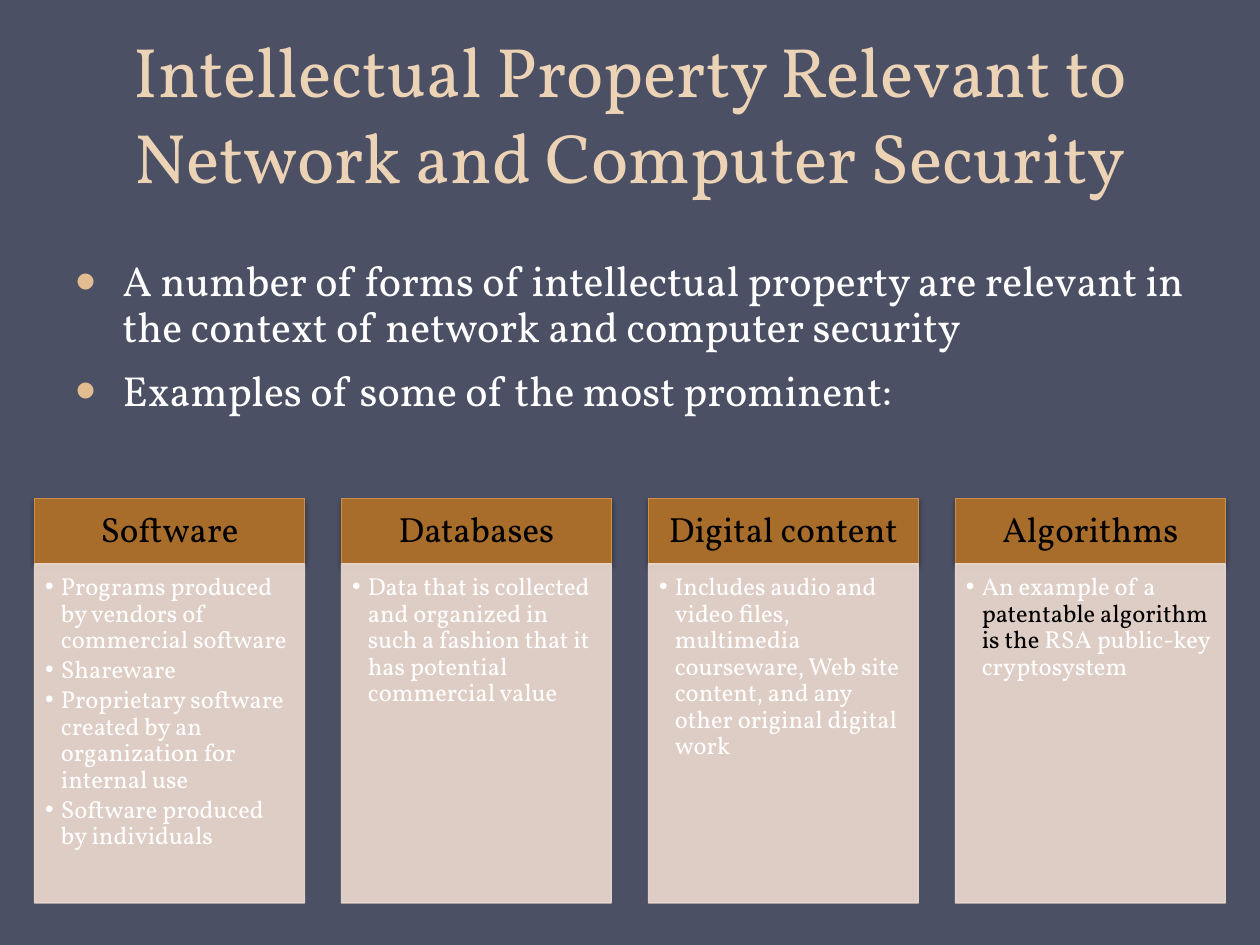
import lxml.etree
import pptx
import pptx.dml.color
import pptx.enum.shapes
import pptx.enum.text
import pptx.oxml
import pptx.oxml.ns
import pptx.util

Pt = pptx.util.Pt
ALIGN = pptx.enum.text.PP_ALIGN
ANCHOR = pptx.enum.text.MSO_ANCHOR
FONT = "Vollkorn"
WHITE, BLACK = "FFFFFF", "000000"
SAND, PEACH = "EDD3B6", "E3BC92"
BROWN, AMBER, BLUSH = "A96D2B", "D19049", "EEDBD0"

TITLE = "Intellectual Property Relevant to Network and Computer Security"
POINTS = [
    "A number of forms of intellectual property are relevant in the context of network and computer security",
    "Examples of some of the most prominent:",
]
CARDS = [
    ("Software", [
        "Programs produced by vendors of commercial software",
        "Shareware",
        "Proprietary software created by an organization for internal use",
        "Software produced by individuals",
    ]),
    ("Databases", [
        "Data that is collected and organized in such a fashion that it has potential commercial value",
    ]),
    ("Digital content", [
        "Includes audio and video files, multimedia courseware, Web site content, and any other original digital work",
    ]),
    ("Algorithms", [
        [("An example of a ", WHITE), ("patentable algorithm is the ", BLACK),
         ("RSA public-key cryptosystem", WHITE)],
    ]),
]


def paint(hue):
    """Turn a hex string into a colour."""
    return pptx.dml.color.RGBColor.from_string(hue)


def node(parent, tag, **attrs):
    """Add a drawing element with attributes to a parent."""
    child = lxml.etree.SubElement(parent, pptx.oxml.ns.qn(tag))
    for key, value in attrs.items():
        child.set(key, str(value))
    return child


def add_mark(para, indent, hue, scale):
    """Give a paragraph a hanging round bullet."""
    props = para._p.get_or_add_pPr()
    props.set("marL", str(Pt(indent)))
    props.set("indent", str(-Pt(indent)))
    node(node(props, "a:buClr"), "a:srgbClr", val=hue)
    node(props, "a:buSzPct", val=scale * 1000)
    node(props, "a:buFont", typeface="Arial")
    node(props, "a:buChar", char="•")


def write(shape, paras, size, hue, align=ALIGN.LEFT, anchor=ANCHOR.TOP,
          inset=(7.2, 3.6, 7.2, 3.6), lead=0.9, before=0, after=0,
          indent=0, mark=None, scale=100):
    """Write paragraphs, each a string or a list of coloured runs."""
    frame = shape.text_frame
    frame.word_wrap = True
    frame.auto_size = pptx.enum.text.MSO_AUTO_SIZE.NONE
    frame.vertical_anchor = anchor
    (frame.margin_left, frame.margin_top,
     frame.margin_right, frame.margin_bottom) = map(Pt, inset)
    for i, item in enumerate(paras):
        para = frame.add_paragraph() if i else frame.paragraphs[0]
        para.alignment = align
        para.line_spacing = lead
        para.space_before = Pt(before if i else 0)
        para.space_after = Pt(after)
        if mark:
            add_mark(para, indent, mark, scale)
        for text, tint in [(item, hue)] if isinstance(item, str) else item:
            run = para.add_run()
            run.text = text
            run.font.name = FONT
            run.font.size = Pt(size)
            run.font.color.rgb = paint(tint)


def add_box(slide, box, fill, line):
    """Add a filled rectangle with a thin outline."""
    kind = pptx.enum.shapes.MSO_SHAPE.RECTANGLE
    shape = slide.shapes.add_shape(kind, *map(Pt, box))
    shape.shadow.inherit = False
    shape.fill.solid()
    shape.fill.fore_color.rgb = paint(fill)
    shape.line.color.rgb = paint(line)
    shape.line.width = Pt(0.75)
    return shape


def add_shade(shape):
    """Cast a soft shadow below a shape."""
    effects = shape._element.spPr.find(pptx.oxml.ns.qn("a:effectLst"))
    shade = node(effects, "a:outerShdw", blurRad=Pt(3.1), dist=Pt(1.8),
                 dir=5400000, rotWithShape=0)
    node(node(shade, "a:srgbClr", val=BLACK), "a:alpha", val=35000)


def fade(shape, share):
    """Make the fill and outline of a shape partly clear."""
    for hue in shape._element.spPr.iter(pptx.oxml.ns.qn("a:srgbClr")):
        node(hue, "a:alpha", val=share * 1000)


def add_title(slide, box):
    """Place and fill the title."""
    title = slide.shapes.title
    title.left, title.top, title.width, title.height = map(Pt, box)
    write(title, [TITLE], 40, SAND, align=ALIGN.CENTER,
          anchor=ANCHOR.BOTTOM, lead=Pt(49))


def add_points(slide, box):
    """Place the main bullet points."""
    write(slide.shapes.add_textbox(*map(Pt, box)), POINTS, 24, WHITE,
          before=4.8, after=6, indent=27, mark=PEACH, scale=140)


def add_card(slide, box, head, items):
    """Place one card: a header bar over a bulleted panel."""
    left, top, width, height = box
    bar = 37.4
    header = add_box(slide, (left, top, width, bar), BROWN, AMBER)
    add_shade(header)
    write(header, [head], 20, BLACK, align=ALIGN.CENTER,
          anchor=ANCHOR.MIDDLE, inset=(11.2, 6.4, 11.2, 6.4))
    panel = add_box(slide, (left, top + bar, width, height - bar), BLUSH, BLUSH)
    fade(panel, 90)
    write(panel, items, 14, WHITE, inset=(6, 6, 8, 9), after=2.1,
          indent=9, mark=WHITE)


def add_cards(slide, box, gap):
    """Spread the cards evenly across a box."""
    left, top, width, height = box
    wide = (width - gap * (len(CARDS) - 1)) / len(CARDS)
    for i, (head, items) in enumerate(CARDS):
        add_card(slide, (left + i * (wide + gap), top, wide, height), head, items)


def main():
    """Build and save the slide."""
    deck = pptx.Presentation()
    deck.slide_width, deck.slide_height = Pt(720), Pt(540)
    slide = deck.slides.add_slide(deck.slide_layouts.get_by_name("Title Only"))
    slide.background.fill.solid()
    slide.background.fill.fore_color.rgb = paint("4B5064")
    add_title(slide, (0, -25.2, 720, 141.8))
    add_points(slide, (36, 145.4, 648, 337))
    add_cards(slide, (19.8, 284.8, 680.4, 231.2), 21.2)
    deck.save("out.pptx")


if __name__ == "__main__":
    main()
